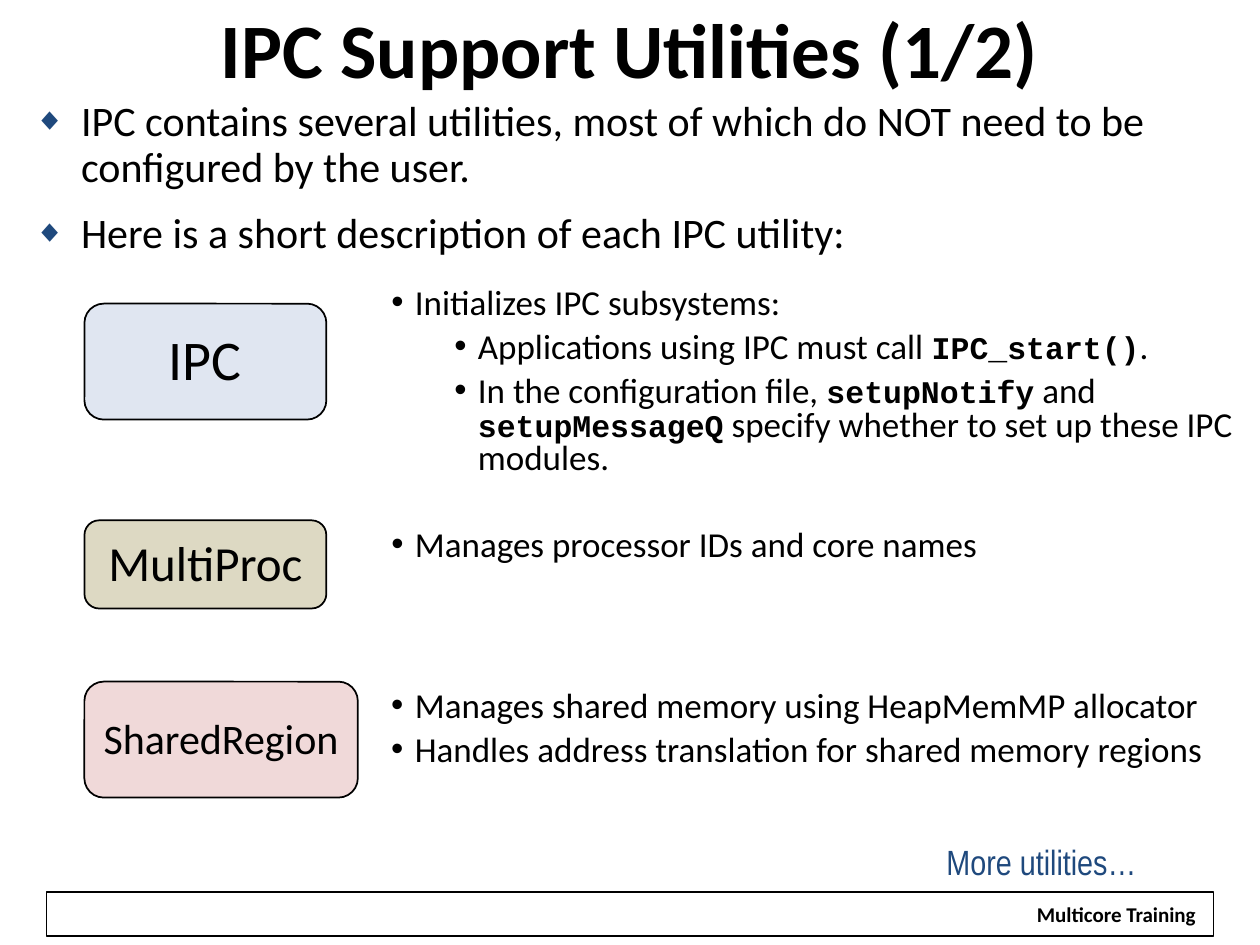
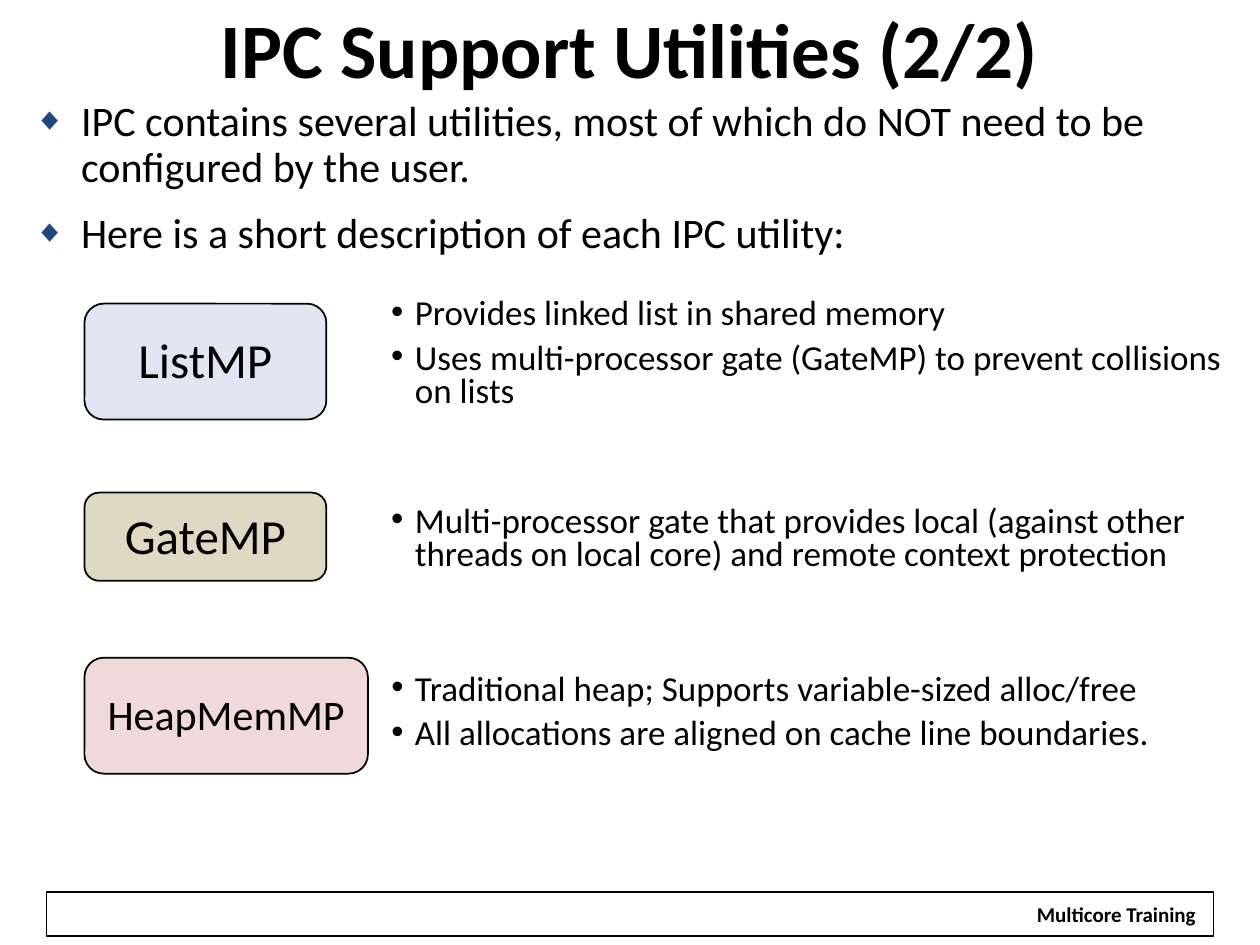
"""Build the two slides on IPC support utilities."""
from lxml import etree
from pptx import Presentation
from pptx.dml.color import RGBColor
from pptx.enum.shapes import MSO_SHAPE
from pptx.enum.text import MSO_ANCHOR, MSO_AUTO_SIZE, PP_ALIGN
from pptx.oxml.ns import qn
from pptx.util import Pt

RECTANGLE, ROUNDED = MSO_SHAPE.RECTANGLE, MSO_SHAPE.ROUNDED_RECTANGLE
TOP, MIDDLE, BOTTOM = MSO_ANCHOR.TOP, MSO_ANCHOR.MIDDLE, MSO_ANCHOR.BOTTOM
LEFT, CENTER, RIGHT = PP_ALIGN.LEFT, PP_ALIGN.CENTER, PP_ALIGN.RIGHT
GROW = MSO_AUTO_SIZE.SHAPE_TO_FIT_TEXT

COLORS = {"text": "000000", "accent": "1F497D", "white": "FFFFFF",
          "blue": "E0E6F1", "tan": "DDD9C3", "pink": "F0D9D9"}
FONT, CODE_FONT, NOTE_FONT = "Calibri", "Courier New", "Arial Narrow"
BOX_LEFT, DESCRIPTION_LEFT = 48.24, 216.5
INTRO = ["IPC contains several utilities, most of which do NOT need to be\nconfigured by the user.",
         "Here is a short description of each IPC utility:"]


def color(name):
    """Return the named colour."""
    return RGBColor.from_string(COLORS[name])


def add_run(paragraph, text, size, font=FONT, bold=False, color_name="text"):
    """Add text to a paragraph, with a line break at each newline."""
    for index, line in enumerate(text.split("\n")):
        if index:
            paragraph.add_line_break()
        run = paragraph.add_run()
        run.text = line
        run.font.name, run.font.size, run.font.bold = font, Pt(size), bold
        run.font.color.rgb = color(color_name)


def add_bullet(paragraph, character, indent, hanging, accent=False):
    """Give a paragraph a hanging bullet, optionally small and coloured."""
    properties = paragraph._p.get_or_add_pPr()
    properties.set("marL", str(Pt(indent)))
    properties.set("indent", str(-Pt(hanging)))
    if accent:
        bullet_color = etree.SubElement(properties, qn("a:buClr"))
        etree.SubElement(bullet_color, qn("a:srgbClr"), val=COLORS["accent"])
        etree.SubElement(properties, qn("a:buSzPct"), val="75000")
    etree.SubElement(properties, qn("a:buFont"), typeface="Arial")
    etree.SubElement(properties, qn("a:buChar"), char=character)


def add_shape(slide, preset, bounds, fill=None, line_width=None):
    """Add a flat preset shape."""
    shape = slide.shapes.add_shape(preset, *map(Pt, bounds))
    shape.shadow.inherit = False
    if fill:
        shape.fill.solid()
        shape.fill.fore_color.rgb = color(fill)
    else:
        shape.fill.background()
    if line_width:
        shape.line.color.rgb = color("text")
        shape.line.width = Pt(line_width)
    else:
        shape.line.fill.background()
    return shape


def set_frame(shape, anchor=MIDDLE, wrap=False, grow=True, insets=(7.2, 3.6, 7.2, 3.6)):
    """Set up the text frame of a shape and return it."""
    frame = shape.text_frame
    frame.word_wrap, frame.vertical_anchor = wrap, anchor
    if grow:
        frame.auto_size = GROW
    frame.margin_left, frame.margin_top, frame.margin_right, frame.margin_bottom = map(Pt, insets)
    return frame


def add_label(shape, text, size, align=CENTER, spacing=1.0, frame_options=None, **run_options):
    """Write one line of text in a shape."""
    paragraph = set_frame(shape, **(frame_options or {})).paragraphs[0]
    paragraph.alignment, paragraph.line_spacing = align, spacing
    add_run(paragraph, text, size, **run_options)


def add_list(slide, bounds, items, write_item, spacing, space_before, wrap=False):
    """Add a text box with one paragraph per item."""
    frame = set_frame(slide.shapes.add_textbox(*map(Pt, bounds)), wrap=wrap)
    for index, item in enumerate(items):
        paragraph = frame.add_paragraph() if index else frame.paragraphs[0]
        write_item(paragraph, item)
        paragraph.alignment, paragraph.line_spacing = LEFT, spacing
        paragraph.space_before = Pt(space_before if index else 0)


def write_intro(paragraph, text):
    """Write one diamond bullet of the introduction."""
    add_bullet(paragraph, "◆", 27, 27, accent=True)
    add_run(paragraph, text, 24)


def write_description(paragraph, item):
    """Write a description: plain text, or a sub-item whose odd pieces are code."""
    pieces = [item] if isinstance(item, str) else item
    add_bullet(paragraph, "•", 13.5 if isinstance(item, str) else 49.5, 13.5)
    if not isinstance(item, str):
        paragraph.level = 1
    for index, text in enumerate(pieces):
        if index % 2:
            add_run(paragraph, text, 18, CODE_FONT, bold=True)
        else:
            add_run(paragraph, text, 20)


def add_utility(slide, name, size, fill, box, description, items, wrap=False):
    """Add a named utility box (top, width, height) and its description (top, width, height)."""
    top, width, height = box
    shape = add_shape(slide, ROUNDED, (BOX_LEFT, top, width, height), fill, 1)
    add_label(shape, name, size, spacing=0.8,
              frame_options={"wrap": True, "grow": False, "insets": (7.2, 7.2, 7.2, 3.6)})
    top, width, height = description
    add_list(slide, (DESCRIPTION_LEFT, top, width, height), items, write_description, 0.8, 6, wrap)


def add_utilities_slide(presentation, number, utilities):
    """Add a slide with footer, title, introduction and utilities."""
    slide = presentation.slides.add_slide(presentation.slide_layouts[6])
    add_shape(slide, RECTANGLE, (26.64, 509.76, 666.72, 25.2), line_width=0.75)
    footer = add_shape(slide, RECTANGLE, (584.64, 511.92, 106.56, 21.6), "white")
    add_label(footer, "Multicore Training", 12, bold=True, frame_options={"anchor": TOP})
    title = slide.shapes.add_textbox(Pt(0), Pt(-2.16), Pt(720), Pt(58.32))
    add_label(title, f"IPC Support Utilities ({number}/2)", 44, bold=True,
              frame_options={"grow": False})
    add_list(slide, (12.24, 53.28, 666.72, 97.92), INTRO, write_intro, 0.9, 12)
    for utility in utilities:
        add_utility(slide, *utility)
    return slide


def add_more_note(slide):
    """Add the note that the list goes on."""
    note = slide.shapes.add_textbox(Pt(540), Pt(484.56), Pt(109.44), Pt(19.44))
    add_label(note, "More utilities…", 20, RIGHT, 0.8, {"anchor": BOTTOM, "insets": (0, 0, 0, 0)},
              font=NOTE_FONT, color_name="accent")


def main():
    """Build and save the presentation."""
    presentation = Presentation()
    presentation.slide_width, presentation.slide_height = Pt(720), Pt(540)
    first = add_utilities_slide(presentation, 1, [
        ("IPC", 32, "blue", (173.52, 138.24, 66.24), (160.56, 503.28, 116.64), [
            "Initializes IPC subsystems:",
            ("Applications using IPC must call ", "IPC_start()", "."),
            ("In the configuration file, ", "setupNotify", " and ", "setupMessageQ",
             " specify whether to set up these IPC modules."),
        ], True),
        ("MultiProc", 28, "tan", (297.36, 138.24, 50.4), (299.52, 352.08, 26.64),
         ["Manages processor IDs and core names"]),
        ("SharedRegion", 24, "pink", (389.52, 156.24, 66.24), (391.68, 482.4, 51.84),
         ["Manages shared memory using HeapMemMP allocator",
          "Handles address translation for shared memory regions"]),
    ])
    add_more_note(first)
    add_utilities_slide(presentation, 2, [
        ("ListMP", 28, "blue", (173.52, 138.24, 66.24), (167.04, 493.92, 71.28),
         ["Provides linked list in shared memory",
          "Uses multi-processor gate (GateMP) to prevent collisions\non lists"]),
        ("GateMP", 28, "tan", (281.52, 138.24, 50.4), (285.12, 473.04, 46.8),
         ["Multi-processor gate that provides local (against other\n"
          "threads on local core) and remote context protection"]),
        ("HeapMemMP", 24, "pink", (375.84, 162, 66.24), (381.6, 452.16, 51.84),
         ["Traditional heap; Supports variable-sized alloc/free",
          "All allocations are aligned on cache line boundaries."]),
    ])
    presentation.save("out.pptx")


if __name__ == "__main__":
    main()
